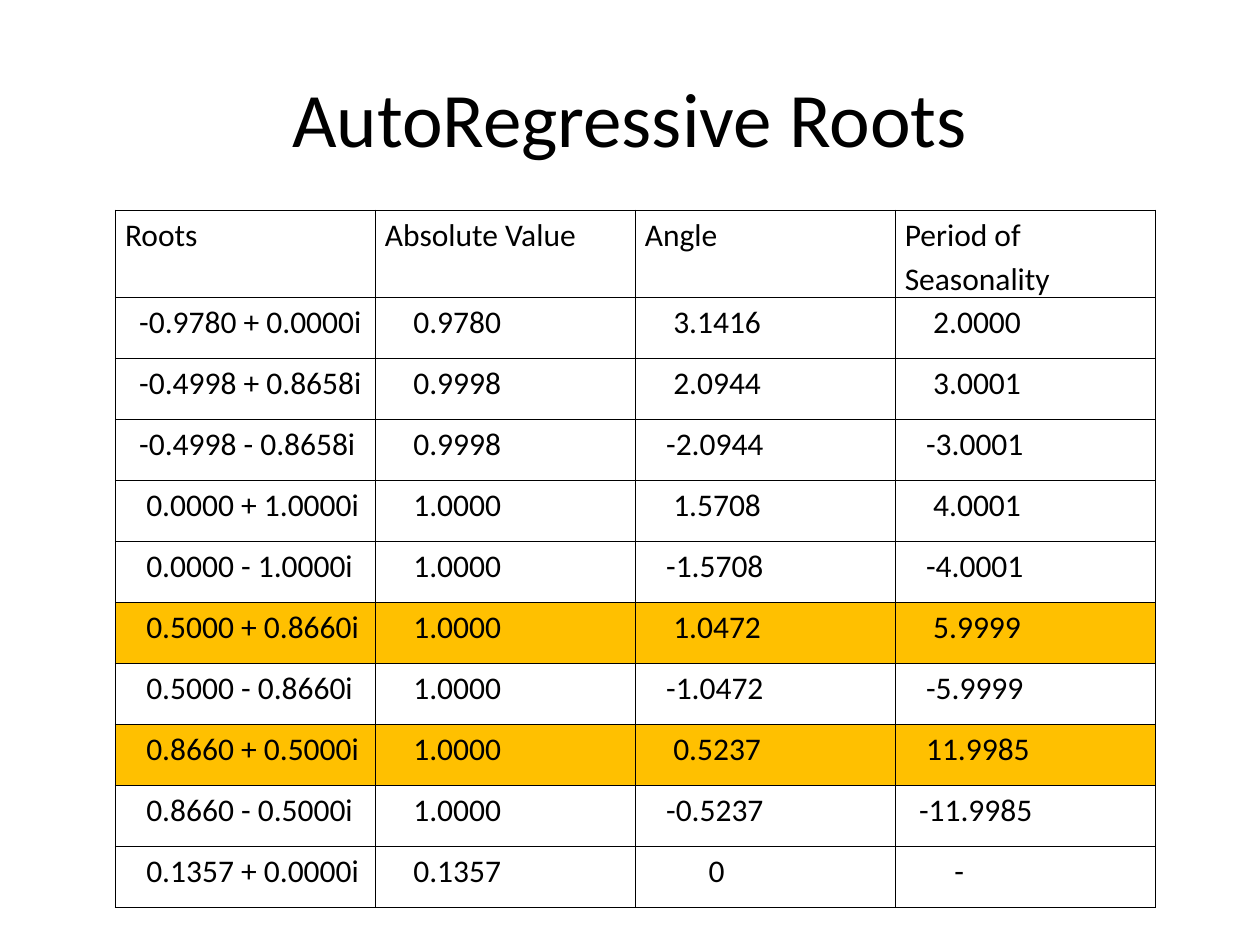
import pptx
import pptx.dml.color
import pptx.enum.text
import pptx.oxml
import pptx.oxml.ns
import pptx.util

Cm, Pt = pptx.util.Cm, pptx.util.Pt
BLACK = pptx.dml.color.RGBColor(0x00, 0x00, 0x00)
GOLD = pptx.dml.color.RGBColor(0xFF, 0xC0, 0x00)
ALIGN = pptx.enum.text.PP_ALIGN
ANCHOR = pptx.enum.text.MSO_ANCHOR

FONT = "Calibri"
STEP = 0.143  # width in cm of one indent step
POINTS = [4, 5, 5, 5]  # steps from the cell edge to the decimal point
HEADS = ["Roots", "Absolute Value", "Angle", "Period of Seasonality"]
ROWS = [
    ["-0.9780 + 0.0000i", "0.9780", "3.1416", "2.0000"],
    ["-0.4998 + 0.8658i", "0.9998", "2.0944", "3.0001"],
    ["-0.4998 - 0.8658i", "0.9998", "-2.0944", "-3.0001"],
    ["0.0000 + 1.0000i", "1.0000", "1.5708", "4.0001"],
    ["0.0000 - 1.0000i", "1.0000", "-1.5708", "-4.0001"],
    ["0.5000 + 0.8660i", "1.0000", "1.0472", "5.9999"],
    ["0.5000 - 0.8660i", "1.0000", "-1.0472", "-5.9999"],
    ["0.8660 + 0.5000i", "1.0000", "0.5237", "11.9985"],
    ["0.8660 - 0.5000i", "1.0000", "-0.5237", "-11.9985"],
    ["0.1357 + 0.0000i", "0.1357", "0", "-"],
]
MARKED = {"5.9999", "11.9985"}  # seasonal periods to point out
WHOLE = {"0": 9, "-": 7}  # indent steps of entries with no decimal point


def write(frame, text, size=18, align=ALIGN.LEFT, space=None, indent=0):
    frame.word_wrap = True
    para = frame.paragraphs[0]
    para.alignment = align
    para.line_spacing = space
    if indent:
        props = para._p.get_or_add_pPr()
        props.set("marL", str(Cm(indent)))
        props.set("indent", "0")
    run = para.add_run()
    run.text = text
    run.font.name = FONT
    run.font.size = Pt(size)
    run.font.bold = False
    run.font.color.rgb = BLACK


def border(cell):
    props = cell._tc.get_or_add_tcPr()
    for place, side in enumerate(("lnL", "lnR", "lnT", "lnB")):
        line = pptx.oxml.parse_xml(
            f'<a:{side} {pptx.oxml.ns.nsdecls("a")} w="{Pt(1)}">'
            f'<a:solidFill><a:srgbClr val="{BLACK}"/></a:solidFill></a:{side}>')
        props.insert(place, line)


def inset(text, col):
    """Indent in cm that lines up the decimal points of a column."""
    if text in WHOLE:
        return WHOLE[text] * STEP
    return (POINTS[col] - len(text.split(".")[0])) * STEP


def add_title(slide, left, top, width, height):
    box = slide.shapes.add_textbox(Cm(left), Cm(top), Cm(width), Cm(height))
    box.text_frame.vertical_anchor = ANCHOR.MIDDLE
    write(box.text_frame, "AutoRegressive Roots", size=44, align=ALIGN.CENTER)


def add_roots(slide, left, top, width, height):
    count = len(ROWS) + 1
    table = slide.shapes.add_table(count, len(HEADS), Cm(left), Cm(top),
                                   Cm(width), Cm(height)).table
    table.first_row = table.horz_banding = False
    for row, texts in enumerate([HEADS] + ROWS):
        for col, text in enumerate(texts):
            cell = table.cell(row, col)
            cell.margin_left = cell.margin_right = Cm(0.19)
            cell.margin_top = cell.margin_bottom = 0
            cell.vertical_anchor = ANCHOR.TOP
            if texts[-1] in MARKED:
                cell.fill.solid()
                cell.fill.fore_color.rgb = GOLD
            else:
                cell.fill.background()
            border(cell)
            write(cell.text_frame, text, space=1.15,
                  indent=inset(text, col) if row else 0)


def main():
    deck = pptx.Presentation()
    deck.slide_width, deck.slide_height = Cm(25.4), Cm(19.05)
    slide = deck.slides.add_slide(deck.slide_layouts[6])
    add_title(slide, 1.27, 0.76, 22.86, 3.18)
    add_roots(slide, 2.33, 4.24, 20.96, 13.53)
    deck.save("out.pptx")


if __name__ == "__main__":
    main()
